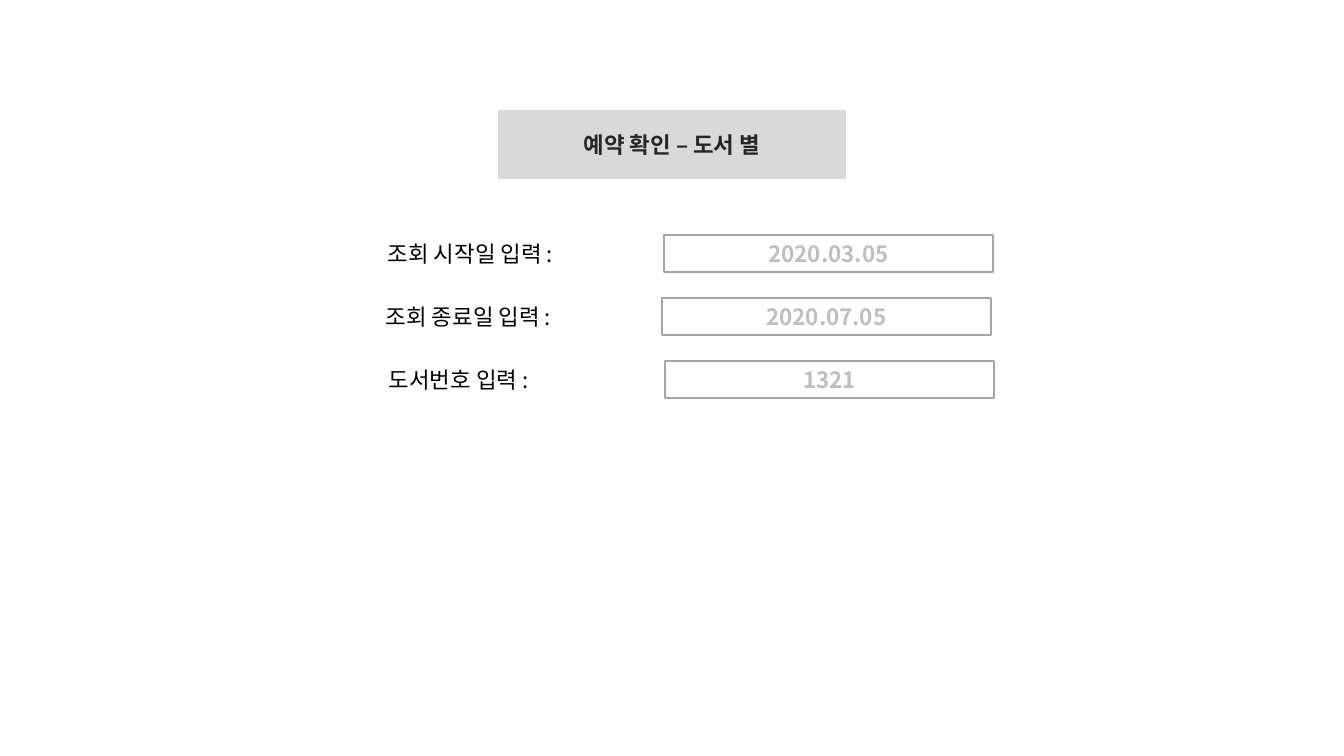
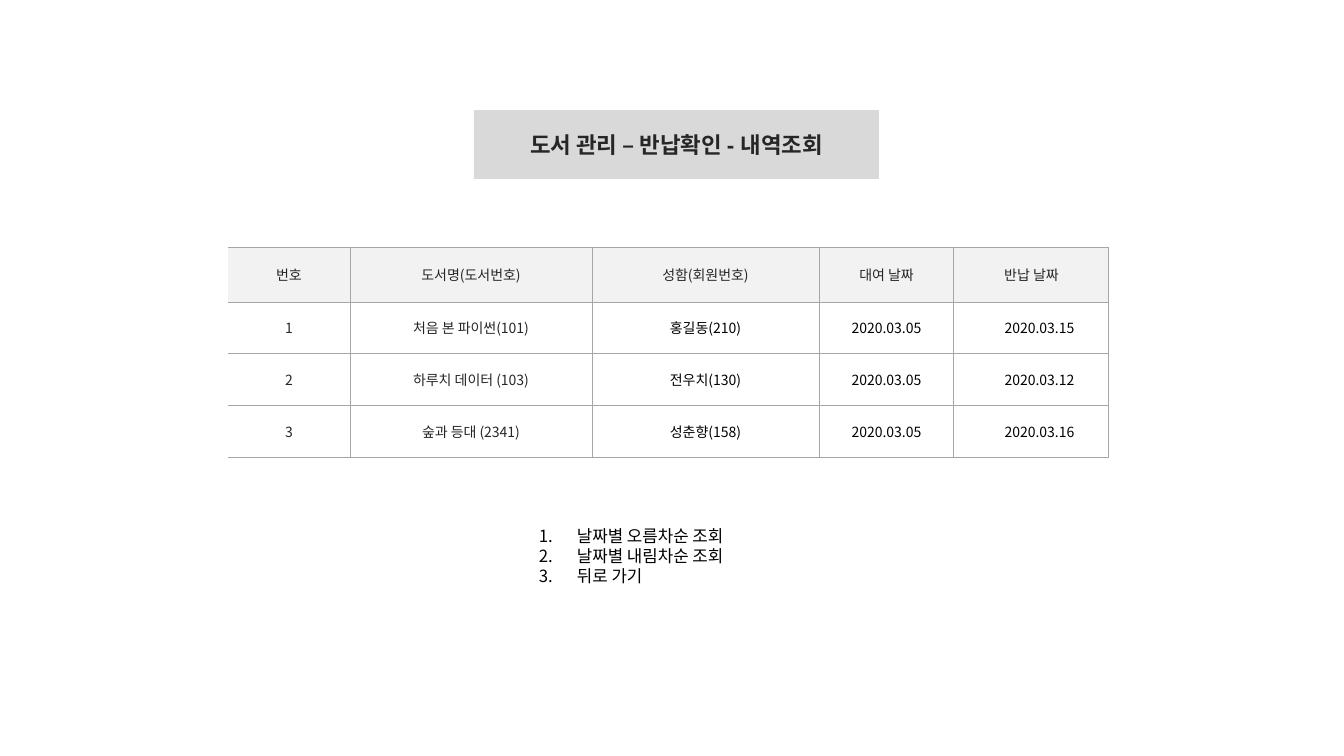
"""Build two library screens: a reservation form and a returns listing."""
from lxml.etree import SubElement
from pptx import Presentation
from pptx.dml.color import RGBColor
from pptx.enum.shapes import MSO_SHAPE as SHAPE
from pptx.enum.text import MSO_ANCHOR as ANCHOR, MSO_AUTO_SIZE as AUTO, PP_ALIGN as ALIGN
from pptx.oxml.ns import qn
from pptx.util import Pt

PX = 12192000 / 1344
COLORS = {
    "ink": "262626", "black": "000000", "hint": "BFBFBF", "line": "A6A6A6",
    "band": "D9D9D9", "header": "F2F2F2", "white": "FFFFFF",
}
FONT = "Noto Sans CJK KR"
TITLES = [("예약 확인 – 도서 별", 498, 348), ("도서 관리 – 반납확인 - 내역조회", 474, 405)]
FIELDS = [
    ("조회 시작일 입력 :", "2020.03.05", 378),
    ("조회 종료일 입력 :", "2020.07.05", 376),
    ("도서번호 입력 :", "1321", 379),
]
ROWS = [
    ("번호", "도서명(도서번호)", "성함(회원번호)", "대여 날짜", "반납 날짜"),
    ("1", "처음 본 파이썬(101)", "홍길동(210)", "2020.03.05", "2020.03.15"),
    ("2", "하루치 데이터 (103)", "전우치(130)", "2020.03.05", "2020.03.12"),
    ("3", "숲과 등대 (2341)", "성춘향(158)", "2020.03.05", "2020.03.16"),
]
COL_WIDTHS = [122, 242, 227, 135, 155]
ROW_HEIGHTS = [55, 52, 52, 52]
MENU = ["날짜별 오름차순 조회", "날짜별 내림차순 조회", "뒤로 가기"]


def px(*lengths):
    return [round(n * PX) for n in lengths]


def add_run(p, text, size, color, bold=False, latin=FONT, align=ALIGN.CENTER):
    p.alignment = align
    r = p.add_run()
    r.text = text
    r.font.size, r.font.bold, r.font.name = Pt(size), bold, latin
    r.font.color.rgb = RGBColor.from_string(COLORS[color])
    SubElement(r.font._element, qn("a:ea")).set("typeface", FONT)


prs = Presentation()
prs.slide_width, prs.slide_height = px(1344, 756)
slides = []
for text, left, width in TITLES:
    s = prs.slides.add_slide(prs.slide_layouts[5])
    title = s.shapes.title
    title.left, title.top, title.width, title.height = px(left, 110, width, 69)
    title.fill.solid()
    title.fill.fore_color.rgb = RGBColor.from_string(COLORS["band"])
    tf = title.text_frame
    tf.auto_size, tf.vertical_anchor = AUTO.NONE, ANCHOR.MIDDLE
    add_run(tf.paragraphs[0], text, 16, "ink", True, "Arial")
    slides.append(s)
form, listing = slides

for i, (label, value, left) in enumerate(FIELDS):
    top = 235 + 63 * i
    tf = form.shapes.add_textbox(*px(left, top, 216, 37)).text_frame
    tf.word_wrap, tf.vertical_anchor = False, ANCHOR.MIDDLE
    add_run(tf.paragraphs[0], label, 16, "black", align=ALIGN.LEFT)
    sp = form.shapes.add_shape(SHAPE.RECTANGLE, *px(left + 286, top, 329, 37))
    sp.shadow.inherit = False
    sp.fill.solid()
    sp.fill.fore_color.rgb = RGBColor.from_string(COLORS["white"])
    sp.line.color.rgb = RGBColor.from_string(COLORS["line"])
    sp.line.width = Pt(1)
    sp.text_frame.vertical_anchor = ANCHOR.MIDDLE
    add_run(sp.text_frame.paragraphs[0], value, 16, "hint", True)

table = listing.shapes.add_table(
    len(ROWS), len(COL_WIDTHS), *px(228, 247, sum(COL_WIDTHS), sum(ROW_HEIGHTS))
).table
for column, width in zip(table.columns, px(*COL_WIDTHS)):
    column.width = width
for row, height in zip(table.rows, px(*ROW_HEIGHTS)):
    row.height = height
for i, row in enumerate(ROWS):
    for j, text in enumerate(row):
        cell = table.cell(i, j)
        indent = 16 if i > 0 and j == 4 else 0
        cell.margin_left, cell.margin_top, cell.margin_right, cell.margin_bottom = px(indent, 0, 0, 0)
        cell.vertical_anchor = ANCHOR.MIDDLE
        tcPr = cell._tc.get_or_add_tcPr()
        for side in "LRTB":
            ln = SubElement(tcPr, qn(f"a:ln{side}"), w=str(Pt(0.75)))
            if side == "L" and j == 0:
                SubElement(ln, qn("a:noFill"))
            else:
                fill = SubElement(ln, qn("a:solidFill"))
                SubElement(fill, qn("a:srgbClr"), val=COLORS["line"])
        cell.fill.solid()
        cell.fill.fore_color.rgb = RGBColor.from_string(COLORS["white" if i else "header"])
        color = "black" if i > 0 and j > 1 else "ink"
        add_run(cell.text_frame.paragraphs[0], text, 10, color)

tf = listing.shapes.add_textbox(*px(529, 526, 223, 65)).text_frame
tf.word_wrap, tf.margin_top = False, 0
for i, text in enumerate(MENU):
    p = tf.add_paragraph() if i else tf.paragraphs[0]
    p.line_spacing = Pt(14.3)
    add_run(p, text, 12, "black", align=ALIGN.LEFT)
    pPr = p._p.get_or_add_pPr()
    indent = px(38)[0]
    pPr.set("marL", str(indent))
    pPr.set("indent", str(-indent))
    SubElement(pPr, qn("a:buFont"), typeface=FONT)
    SubElement(pPr, qn("a:buAutoNum"), type="arabicPeriod")

prs.save("out.pptx")
